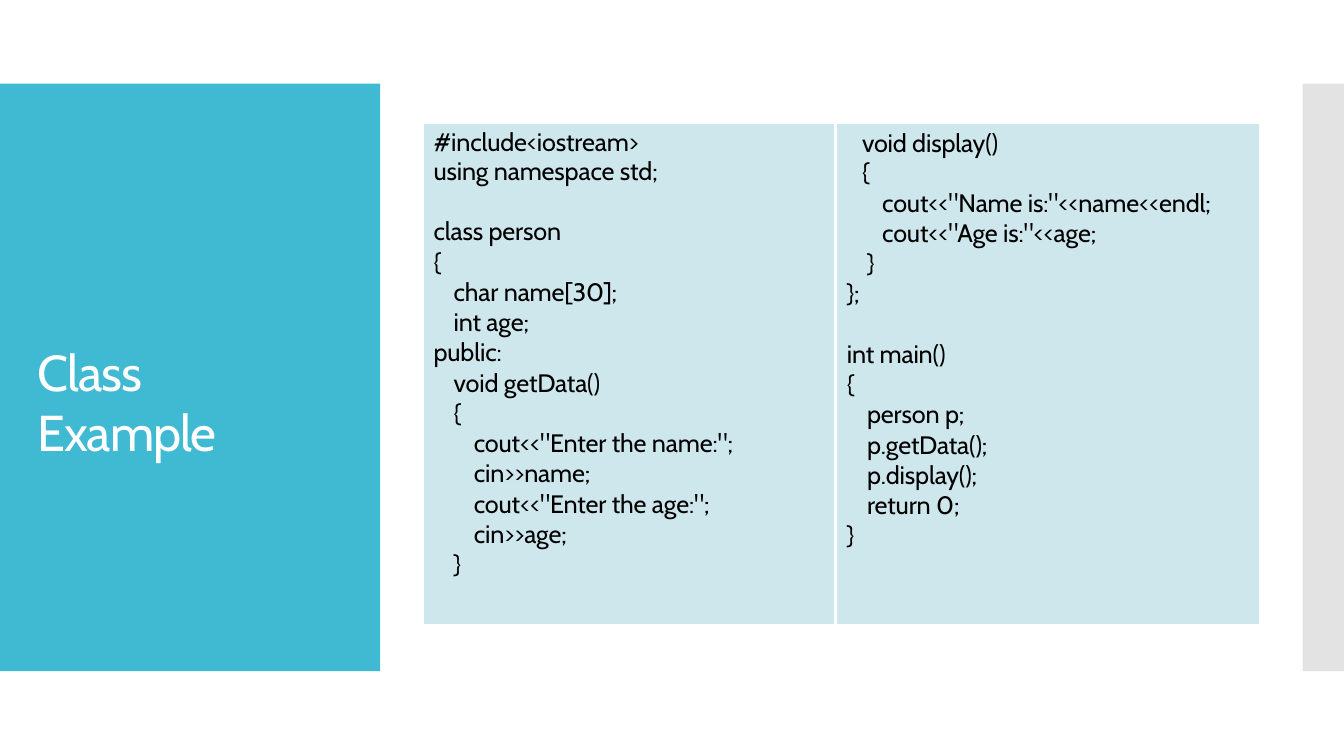
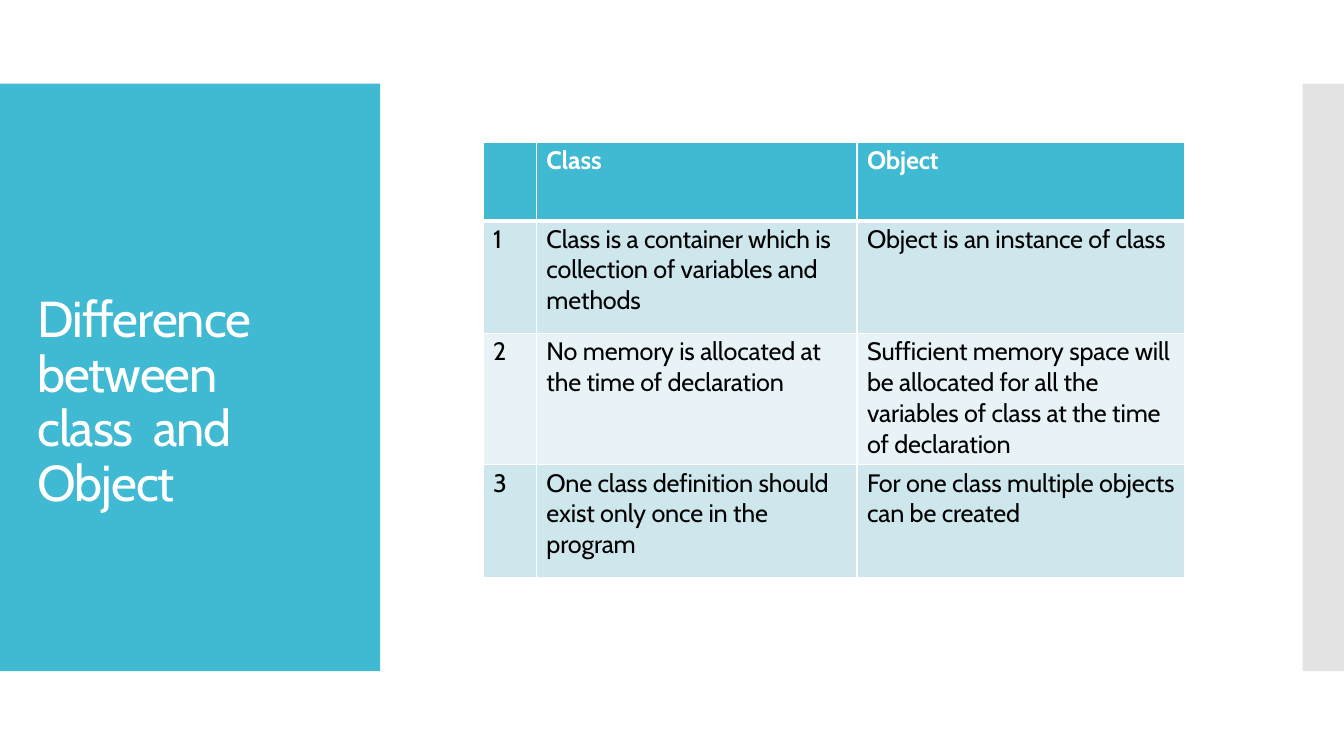
from itertools import zip_longest
from lxml import etree
from pptx import Presentation
from pptx.dml.color import RGBColor
from pptx.enum.shapes import MSO_SHAPE
from pptx.enum.text import MSO_ANCHOR
from pptx.oxml.ns import qn
from pptx.util import Inches, Pt

RECTANGLE = MSO_SHAPE.RECTANGLE
TOP = MSO_ANCHOR.TOP
FONT = "Cabin"
TEAL, GREY, WHITE, BLACK = "40B9D2", "E3E3E3", "FFFFFF", "000000"
TINT, PALE = "CEE7ED", "E8F3F7"
PLAIN_TABLE = "{2D5ABB26-0587-4C30-8999-92F81FD0307C}"
WIDTH, HEIGHT = 13.33, 7.5
BAND_TOP, BAND_HEIGHT = 0.83, 5.83
BANDS = [(0, 3.77, TEAL), (12.92, WIDTH - 12.92, GREY)]

CLASS_CODE = [
    (0.1, "#include<iostream>"),
    (0.1, "using namespace std;"),
    (0.1, ""),
    (0.1, "class person"),
    (0.1, "{"),
    (0.3, "char name[30];"),
    (0.3, "int age;"),
    (0.1, "public:"),
    (0.3, "void getData()"),
    (0.3, "{"),
    (0.5, 'cout<<"Enter the name:";'),
    (0.5, "cin>>name;"),
    (0.5, 'cout<<"Enter the age:";'),
    (0.5, "cin>>age;"),
    (0.3, "}"),
]
MAIN_CODE = [
    (0.26, "void display()"),
    (0.26, "{"),
    (0.46, 'cout<<"Name is:"<<name<<endl;'),
    (0.46, 'cout<<"Age is:"<<age;'),
    (0.31, "}"),
    (0.11, "};"),
    (0.11, ""),
    (0.11, "int main()"),
    (0.11, "{"),
    (0.31, "person p;"),
    (0.31, "p.getData();"),
    (0.31, "p.display();"),
    (0.31, "return 0;"),
    (0.11, "}"),
]
CODE_LEADING = (18.2, 19.4)
DIFFERENCES = [
    ("", "Class", "Object"),
    ("1", "Class is a container which is  collection of variables and  methods",
     "Object is an instance of class"),
    ("2", "No memory is allocated at\nthe time of declaration",
     "Sufficient memory space will  be allocated for all the variables of class "
     "at the time  of declaration"),
    ("3", "One class definition should  exist only once in the  program",
     "For one class multiple objects  can be created"),
]


def color(value):
    return RGBColor.from_string(value)


def write(frame, text, size=18, ink=BLACK, bold=False, tracking=-0.1,
          leading=None, before=0):
    frame.word_wrap = True
    for index, line in enumerate(text.split("\n")):
        paragraph = frame.add_paragraph() if index else frame.paragraphs[0]
        paragraph.space_before = Pt(0 if index else before)
        if leading:
            paragraph.line_spacing = Pt(leading)
        run = paragraph.add_run()
        run.text = line
        run.font.name, run.font.size, run.font.bold = FONT, Pt(size), bold
        run.font.color.rgb = color(ink)
        run._r.get_or_add_rPr().set("spc", str(round(tracking * 100)))


def start_slide(deck, title, top, height, inset, **style):
    slide = deck.slides.add_slide(deck.slide_layouts[6])
    for left, width, tone in BANDS:
        band = slide.shapes.add_shape(RECTANGLE, Inches(left), Inches(BAND_TOP),
                                      Inches(width), Inches(BAND_HEIGHT))
        band.shadow.inherit = False
        band.fill.solid()
        band.fill.fore_color.rgb = color(tone)
        band.line.fill.background()
    heading = slide.shapes.add_textbox(Inches(0.37), Inches(top), Inches(2.83), Inches(height))
    frame = heading.text_frame
    frame.margin_left = frame.margin_right = frame.margin_bottom = 0
    frame.margin_top = Inches(inset)
    frame.vertical_anchor = TOP
    write(frame, title, size=36, ink=WHITE, tracking=-0.75, **style)
    return slide


def start_table(slide, left, top, columns, rows):
    table = slide.shapes.add_table(len(rows), len(columns), Inches(left), Inches(top),
                                   Inches(sum(columns)), Inches(sum(rows))).table
    table.first_row = table.horz_banding = False
    table._tbl.tblPr.find(qn("a:tableStyleId")).text = PLAIN_TABLE
    for column, width in zip(table.columns, columns):
        column.width = Inches(width)
    for row, height in zip(table.rows, rows):
        row.height = Inches(height)
    return table


def fill_cell(cell, text, tone, borders, indent=0.1, inset=0.0, **style):
    properties = cell._tc.get_or_add_tcPr()
    for side in "LRTB":
        if side in borders:
            edge = etree.SubElement(properties, qn("a:ln" + side), w=str(Pt(borders[side])))
            paint = etree.SubElement(edge, qn("a:solidFill"))
            etree.SubElement(paint, qn("a:srgbClr"), val=WHITE)
    cell.fill.solid()
    cell.fill.fore_color.rgb = color(tone)
    cell.margin_left, cell.margin_top = Inches(indent), Inches(inset)
    cell.margin_right = cell.margin_bottom = 0
    cell.vertical_anchor = TOP
    write(cell.text_frame, text, **style)


def build_example(deck):
    slide = start_slide(deck, "Class Example", 3.37, 1.21, 0.01, before=1)
    heights = [0.37] + [0.3] * (len(CLASS_CODE) - 2) + [0.69]
    table = start_table(slide, 4.2, 1.23, (4.09, 4.2), heights)
    listing = zip_longest(CLASS_CODE, MAIN_CODE, fillvalue=(0.11, ""))
    for row, lines in enumerate(listing):
        for column, (indent, text) in enumerate(lines):
            borders = {"L": 2.25, "R": 1} if column else {"L": 1, "R": 2.25}
            first = row == 0
            fill_cell(table.cell(row, column), text, TINT, borders, indent=indent,
                      inset=0.03 + 0.01 * column if first else 0,
                      leading=None if first else CODE_LEADING[column],
                      before=2 + column if first else 0)


def build_difference(deck):
    slide = start_slide(deck, "Difference between class  and Object", 2.83, 2.25, 0.08,
                        leading=38.9, before=5.8)
    table = start_table(slide, 4.79, 1.41, (0.53, 3.18, 3.25), (0.78, 1.12, 1.3, 1.12))
    for row, entries in enumerate(DIFFERENCES):
        header = row == 0
        tone = TEAL if header else TINT if row % 2 else PALE
        borders = {"L": 1, "R": 1, "T": 3 if row == 1 else 1, "B": 3 if header else 1}
        for column, text in enumerate(entries):
            fill_cell(table.cell(row, column), text, tone, borders, inset=0.03, before=2.5,
                      ink=WHITE if header else BLACK, bold=header)


def main():
    deck = Presentation()
    deck.slide_width, deck.slide_height = Inches(WIDTH), Inches(HEIGHT)
    build_example(deck)
    build_difference(deck)
    deck.save("out.pptx")


if __name__ == "__main__":
    main()
